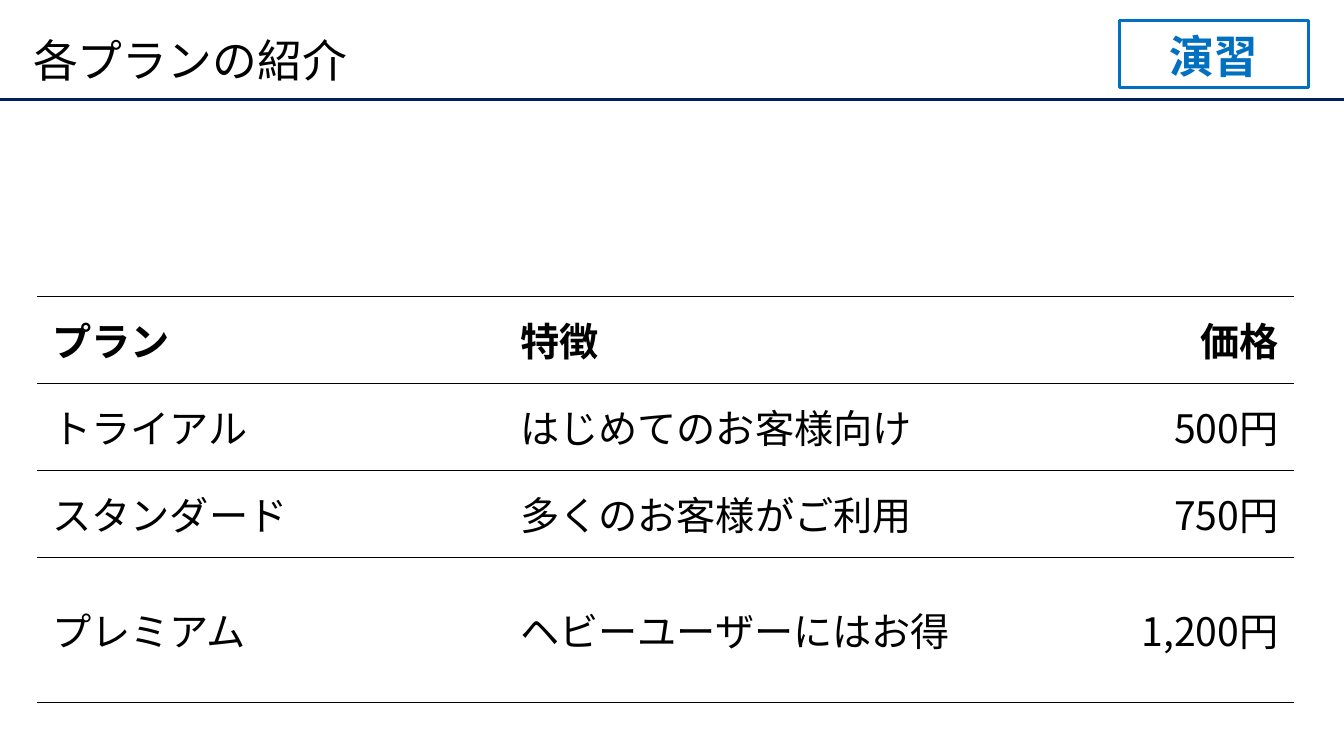
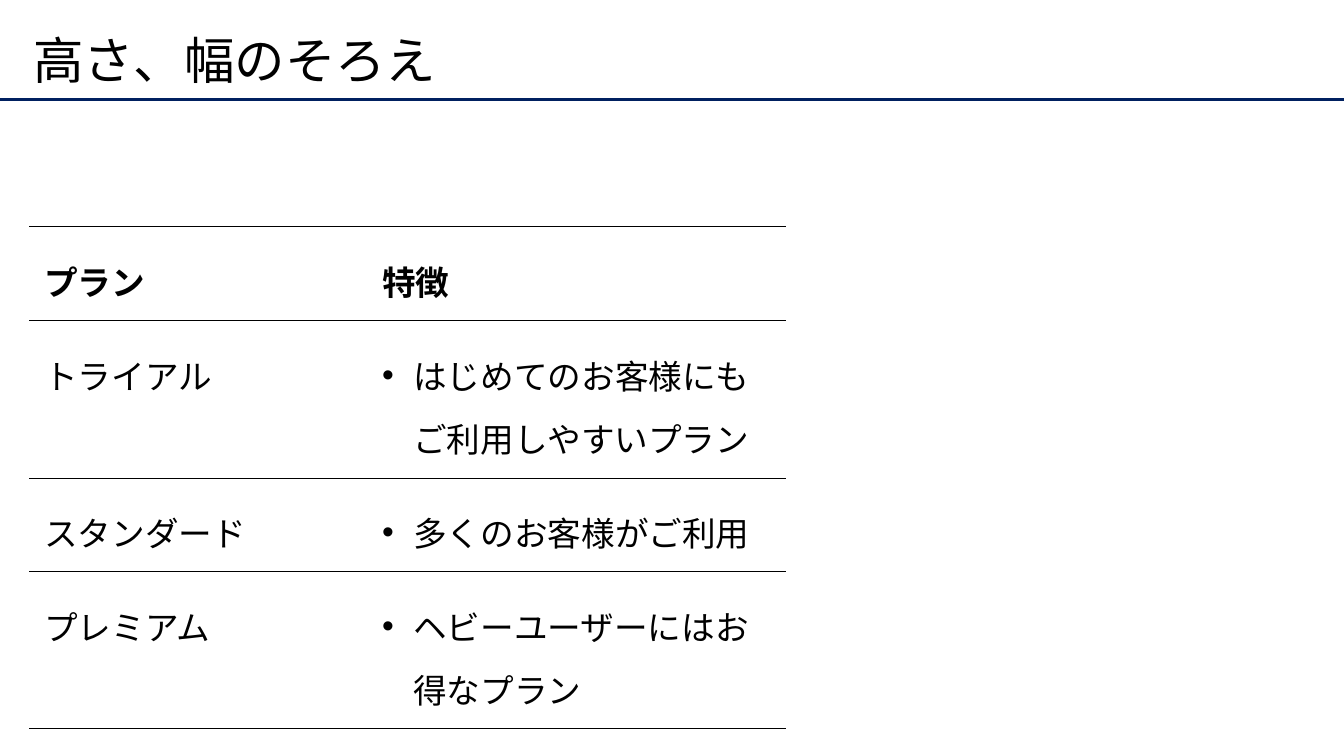
from lxml.etree import SubElement as Sub
from pptx import Presentation as Deck
from pptx.dml.color import RGBColor as Rgb
from pptx.enum.shapes import MSO_CONNECTOR as Conn, MSO_SHAPE as Shape
from pptx.enum.text import MSO_ANCHOR as Anchor, PP_ALIGN as Align
from pptx.oxml.ns import qn
from pptx.util import Inches, Pt

INK = {"text": "000000", "rule": "002060", "badge": "0070C0"}
FONT = "Noto Sans CJK JP"
WIDTH, HEIGHT = 13.33, 7.5
PAD, INDENT = 0.15, 0.31
HAIR, EDGE, THICK = 0.25, 1, 2.25
SIDES = ("left", "right", "top", "bottom")


def apply(item, form):
    for name, value in form.items():
        setattr(item, name, value)


def paint(line, color, width):
    line.color.rgb = Rgb.from_string(INK[color])
    line.width = Pt(width)


def write(frame, text, size, color="text", bold=False, form=None):
    para = frame.paragraphs[0]
    apply(para, form or {})
    run = para.add_run()
    run.text = text
    apply(run.font, {"name": FONT, "size": Pt(size), "bold": bold})
    run.font.color.rgb = Rgb.from_string(INK[color])
    Sub(run.font._element, qn("a:ea"), typeface=FONT)
    return para


def add_rule(slide):
    rule = slide.shapes.add_connector(
        Conn.STRAIGHT, 0, Inches(0.99), Inches(WIDTH), Inches(0.99))
    paint(rule.line, "rule", THICK)
    Sub(rule._element.spPr, qn("a:effectLst"))


def add_title(slide, text, size):
    box = slide.shapes.add_textbox(*map(Inches, (0.23, 0.21, 12.6, 0.84)))
    apply(box.text_frame, {"word_wrap": True, "vertical_anchor": Anchor.MIDDLE})
    write(box.text_frame, text, size, form={"line_spacing": 0.9})


def add_badge(slide, text):
    badge = slide.shapes.add_shape(
        Shape.RECTANGLE, *map(Inches, (11.1, 0.2, 1.88, 0.67)))
    badge.shadow.inherit = False
    badge.fill.background()
    paint(badge.line, "badge", THICK)
    badge.text_frame.vertical_anchor = Anchor.BOTTOM
    write(badge.text_frame, text, 32, "badge", True, {"alignment": Align.CENTER})


def add_edge(props, tag, width):
    line = Sub(props, qn(tag), w=str(Pt(width)))
    if width:
        fill = Sub(line, qn("a:solidFill"))
        Sub(fill, qn("a:srgbClr"), val=INK["text"])
    else:
        Sub(line, qn("a:noFill"))


def style_cell(cell, anchor, top, base):
    apply(cell, {f"margin_{side}": Inches(PAD) for side in SIDES})
    cell.vertical_anchor = anchor
    props = cell._tc.get_or_add_tcPr()
    edges = {"a:lnL": 0, "a:lnR": 0, "a:lnT": top, "a:lnB": base}
    for tag, width in edges.items():
        add_edge(props, tag, width)
    cell.fill.background()


def add_bullet(para):
    props = para._p.get_or_add_pPr()
    props.set("marL", str(Inches(INDENT)))
    props.set("indent", str(-Inches(INDENT)))
    Sub(props, qn("a:buFont"), typeface="Arial")
    Sub(props, qn("a:buChar"), char="•")


def add_grid(slide, spot, cols, highs, data, size, anchor, forms, dots=()):
    frame = slide.shapes.add_table(
        len(highs), len(cols), *map(Inches, (*spot, sum(cols), sum(highs))))
    grid = frame.table
    apply(grid, {"first_row": False, "horz_banding": False})
    for col, width in zip(grid.columns, cols):
        col.width = Inches(width)
    for row, high in zip(grid.rows, highs):
        row.height = Inches(high)
    last = len(data) - 1
    for r, texts in enumerate(data):
        head = r == 0
        top = EDGE if head else HAIR
        base = EDGE if r == last else HAIR
        for c, text in enumerate(texts):
            cell = grid.cell(r, c)
            style_cell(cell, Anchor.MIDDLE if head else anchor, top, base)
            para = write(cell.text_frame, text, size, bold=head, form=forms[c])
            if c in dots and not head:
                add_bullet(para)


def add_page(deck, title, size):
    slide = deck.slides.add_slide(deck.slide_layouts[6])
    add_rule(slide)
    add_title(slide, title, size)
    return slide


def main():
    deck = Deck()
    apply(deck, {"slide_width": Inches(WIDTH), "slide_height": Inches(HEIGHT)})

    plans = add_page(deck, "各プランの紹介", 32)
    add_badge(plans, "演習")
    add_grid(plans, (0.37, 2.94), (4.64, 4.8, 3.02), (0.86, 0.86, 0.87, 1.44), [
        ("プラン", "特徴", "価格"),
        ("トライアル", "はじめてのお客様向け", "500円"),
        ("スタンダード", "多くのお客様がご利用", "750円"),
        ("プレミアム", "ヘビーユーザーにはお得", "1,200円"),
    ], 28, Anchor.MIDDLE, ({}, {}, {"alignment": Align.RIGHT}))

    align = add_page(deck, "高さ、幅のそろえ", 36)
    loose = {"line_spacing": 1.3}
    add_grid(align, (0.29, 2.25), (3.35, 4.16), (0.93, 1.56, 0.93, 1.56), [
        ("プラン", "特徴"),
        ("トライアル", "はじめてのお客様にもご利用しやすいプラン"),
        ("スタンダード", "多くのお客様がご利用"),
        ("プレミアム", "ヘビーユーザーにはお得なプラン"),
    ], 24, Anchor.TOP, (loose, loose), dots=(1,))

    deck.save("out.pptx")


if __name__ == "__main__":
    main()
